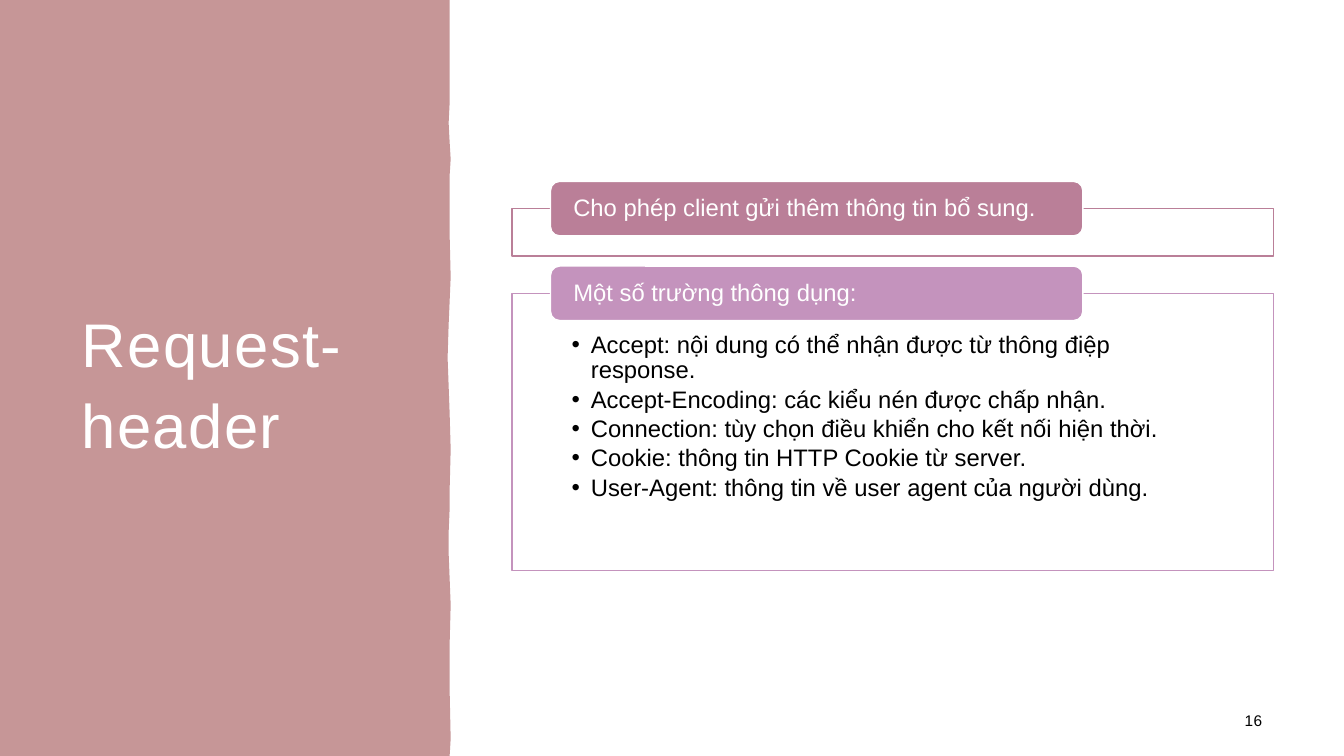
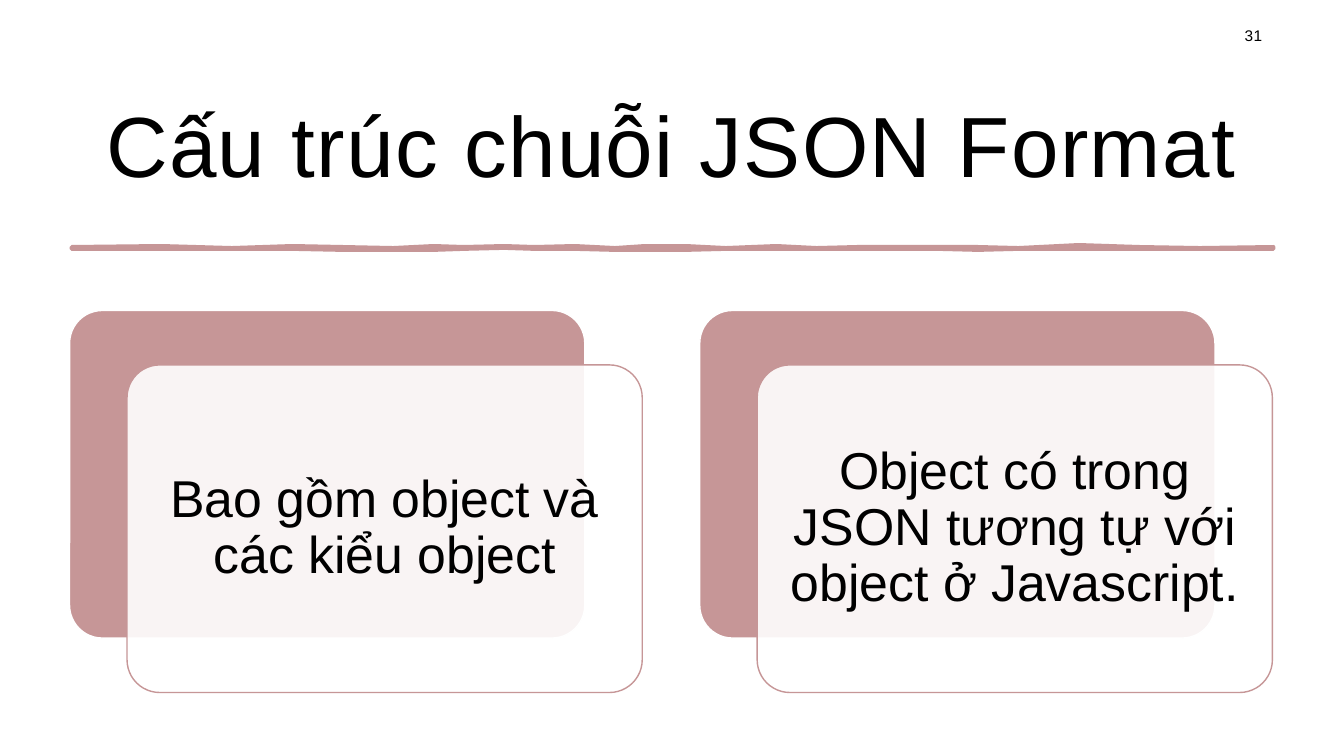
from dataclasses import dataclass
from typing import Any

from lxml.etree import SubElement
from pptx import Presentation
from pptx.dml.color import RGBColor
from pptx.enum.shapes import MSO_SHAPE
from pptx.enum.text import MSO_ANCHOR, MSO_AUTO_SIZE, PP_ALIGN
from pptx.oxml.ns import qn
from pptx.util import Inches, Pt

ROSE, MAUVE, LILAC = "C69697", "BA7F98", "C493BD"
WHITE, BLACK = "FFFFFF", "000000"
LEFT, MID, RIGHT = PP_ALIGN.LEFT, PP_ALIGN.CENTER, PP_ALIGN.RIGHT
WIDE, HIGH = 13.33, 7.5
PAD = (0.12, 0.12, 0.12, 0.1)

EDGE = [
    (4.46, 0), (4.46, 1.02), (4.45, 1.22), (4.46, 1.41), (4.47, 1.58),
    (4.46, 1.74), (4.46, 2.33), (4.47, 2.75), (4.45, 3.22), (4.44, 3.55),
    (4.45, 3.83), (4.46, 4.1), (4.47, 4.46), (4.46, 4.86), (4.46, 5.05),
    (4.45, 5.28), (4.45, 5.49), (4.47, 6), (4.46, 6.39), (4.46, 6.85),
    (4.47, 7.33), (4.46, 7.5),
]
WAVE = [
    (0.71, 2.45, 2.47), (1.6, 2.44, 2.47), (2.3, 2.46, 2.47),
    (2.9, 2.44, 2.47), (3.4, 2.45, 2.48), (3.9, 2.46, 2.48),
    (4.3, 2.44, 2.48), (4.6, 2.45, 2.47), (5, 2.44, 2.46),
    (5.3, 2.45, 2.47), (5.7, 2.44, 2.47), (6.1, 2.46, 2.48),
    (6.4, 2.44, 2.48), (6.8, 2.44, 2.48), (7.2, 2.46, 2.47),
    (7.7, 2.44, 2.47), (8.1, 2.46, 2.47), (8.5, 2.45, 2.47),
    (9.3, 2.45, 2.47), (9.7, 2.45, 2.48), (10.1, 2.46, 2.47),
    (10.7, 2.43, 2.47), (11.3, 2.45, 2.47), (11.9, 2.46, 2.47),
    (12.63, 2.45, 2.47),
]
FIELDS = [
    "Accept: nội dung có thể nhận được từ thông điệp response.",
    "Accept-Encoding: các kiểu nén được chấp nhận.",
    "Connection: tùy chọn điều khiển cho kết nối hiện thời.",
    "Cookie: thông tin HTTP Cookie từ server.",
    "User-Agent: thông tin về user agent của người dùng.",
]


@dataclass
class Style:
    size: float
    color: str = BLACK
    align: Any = LEFT
    pad: tuple = PAD
    lead: float = 0.9
    after: float = 0
    track: float = 0
    anchor: Any = MSO_ANCHOR.MIDDLE
    dot: bool = False


@dataclass
class Group:
    top: float
    height: float
    color: str
    label: str
    items: list


@dataclass
class Card:
    left: float
    text: str


LABEL = Style(17, WHITE, pad=(0.2, 0, 0.2, 0))
LIST = Style(17, pad=(0.59, 0.39, 0.59, 0.13), after=2.55,
             anchor=MSO_ANCHOR.TOP, dot=True)
NOTE = Style(37, align=MID, pad=(0.15,) * 4)
PAGE = Style(11, align=RIGHT, track=0.4)
SIDE = Style(44, WHITE, lead=1.1, track=1)
HEAD = Style(61, align=MID, lead=1, track=1)

GROUPS = [
    Group(2.07, 0.47, MAUVE, "Cho phép client gửi thêm thông tin bổ sung.", []),
    Group(2.91, 2.75, LILAC, "Một số trường thông dụng:", FIELDS),
]
CARDS = [
    Card(0.69, "Bao gồm object và các kiểu object"),
    Card(6.94, "Object có trong JSON tương tự với object ở Javascript."),
]


def rgb(code: str) -> RGBColor:
    return RGBColor.from_string(code)


def put(thing: Any, **vals: Any) -> None:
    for name, val in vals.items():
        setattr(thing, name, val)


def place(shape: Any, left: float, top: float, width: float, height: float) -> None:
    put(shape, left=Inches(left), top=Inches(top),
        width=Inches(width), height=Inches(height))


def paint(shape: Any, fill: str, line: str = "", width: float = 1,
          alpha: int = 100) -> None:
    shape.fill.solid()
    shape.fill.fore_color.rgb = rgb(fill)
    if alpha < 100:
        tint = shape.fill._xPr.find(".//" + qn("a:srgbClr"))
        SubElement(tint, qn("a:alpha"), val=str(alpha * 1000))
    if line:
        shape.line.color.rgb = rgb(line)
        shape.line.width = Pt(width)
    else:
        shape.line.fill.background()


def add_dot(para: Any) -> None:
    props = para._p.get_or_add_pPr()
    props.set("marL", str(Inches(0.19)))
    props.set("indent", str(Inches(-0.19)))
    SubElement(props, qn("a:buFont"), typeface="Arial")
    SubElement(props, qn("a:buChar"), char="•")


def write(shape: Any, lines: list[str], style: Style) -> None:
    frame = shape.text_frame
    left, top, right, base = map(Inches, style.pad)
    put(frame, word_wrap=True, auto_size=MSO_AUTO_SIZE.NONE,
        vertical_anchor=style.anchor, margin_left=left, margin_top=top,
        margin_right=right, margin_bottom=base)
    for num, line in enumerate(lines):
        para = frame.add_paragraph() if num else frame.paragraphs[0]
        if style.dot:
            add_dot(para)
        put(para, alignment=style.align, line_spacing=style.lead,
            space_before=Pt(0), space_after=Pt(style.after))
        run = para.add_run()
        run.text = line
        put(run.font, name="Arial", size=Pt(style.size), bold=False)
        run.font.color.rgb = rgb(style.color)
        if style.track:
            run._r.get_or_add_rPr().set("spc", str(round(style.track * 100)))


def add_box(slide: Any, kind: Any, spot: tuple, fill: str, line: str,
            alpha: int = 100) -> Any:
    box = slide.shapes.add_shape(kind, *map(Inches, spot))
    box.shadow.inherit = False
    paint(box, fill, line, alpha=alpha)
    return box


def trace(slide: Any, spots: list, line: str = "", width: float = 1) -> None:
    first, *rest = [(Inches(x), Inches(y)) for x, y in spots]
    pen = slide.shapes.build_freeform(*first, scale=1.0)
    pen.add_line_segments(rest, close=True)
    shape = pen.convert_to_shape()
    shape.shadow.inherit = False
    paint(shape, ROSE, line, width)


def add_title(slide: Any, text: str, spot: tuple, style: Style) -> None:
    title = slide.shapes.title
    place(title, *spot)
    write(title, [text], style)
    slide.shapes.element.append(title.element)


def add_page(slide: Any, text: str, top: float) -> None:
    spot = map(Inches, (10.64, top, 2, 0.4))
    write(slide.shapes.add_textbox(*spot), [text], PAGE)


def draw_group(slide: Any, group: Group) -> None:
    spot = (5.08, group.top, 7.55, group.height)
    if group.items:
        body = slide.placeholders[1]
        place(body, *spot)
        paint(body, WHITE, group.color, alpha=90)
        write(body, group.items, LIST)
    else:
        add_box(slide, MSO_SHAPE.RECTANGLE, spot, WHITE, group.color, 90)
    tab = add_box(slide, MSO_SHAPE.ROUNDED_RECTANGLE,
                  (5.46, group.top - 0.27, 5.28, 0.54), group.color, WHITE)
    write(tab, [group.label], LABEL)


def draw_card(slide: Any, card: Card) -> None:
    looks = [(0, 3.08, ROSE, WHITE, 100), (0.57, 3.62, WHITE, ROSE, 90)]
    for shift, top, fill, line, alpha in looks:
        box = add_box(slide, MSO_SHAPE.ROUNDED_RECTANGLE,
                      (card.left + shift, top, 5.11, 3.25), fill, line, alpha)
        box.adjustments[0] = 0.1
    write(box, [card.text], NOTE)


def main() -> None:
    deck = Presentation()
    put(deck, slide_width=Inches(WIDE), slide_height=Inches(HIGH))

    slide = deck.slides.add_slide(deck.slide_layouts[1])
    trace(slide, [(0, 0), *EDGE, (0, HIGH)])
    add_title(slide, "Request-header", (0.69, 0.7, 3.39, 6.11), SIDE)
    add_page(slide, "16", 6.95)
    for group in GROUPS:
        draw_group(slide, group)

    slide = deck.slides.add_slide(deck.slide_layouts[5])
    add_title(slide, "Cấu trúc chuỗi JSON Format", (0.69, 0.69, 11.94, 1.44), HEAD)
    add_page(slide, "31", 0.15)
    upper = [(x, top) for x, top, _ in WAVE]
    lower = [(x, base) for x, _, base in reversed(WAVE)]
    trace(slide, upper + lower, ROSE, 2.75)
    for card in CARDS:
        draw_card(slide, card)

    deck.save("out.pptx")


if __name__ == "__main__":
    main()
